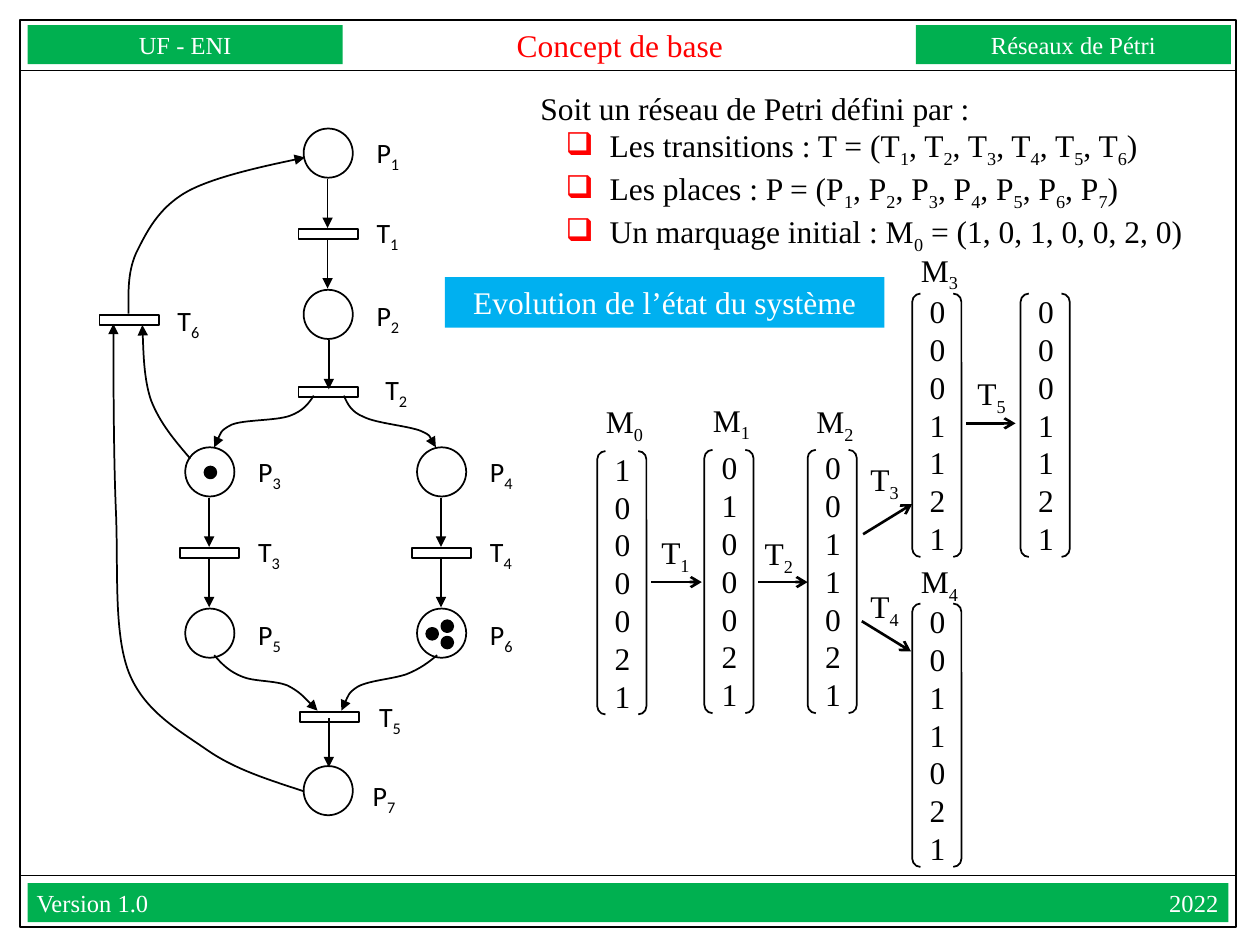
"""Build the slide showing a Petri net and the evolution of its marking."""
from dataclasses import dataclass

import pptx
import pptx.dml.color
import pptx.enum.shapes
import pptx.enum.text
import pptx.oxml.ns
import pptx.util
from lxml import etree

Inches = pptx.util.Inches
Pt = pptx.util.Pt
RGBColor = pptx.dml.color.RGBColor
SHAPE = pptx.enum.shapes.MSO_SHAPE
ALIGN = pptx.enum.text.PP_ALIGN
ANCHOR = pptx.enum.text.MSO_ANCHOR
qn = pptx.oxml.ns.qn

BLACK = RGBColor(0x00, 0x00, 0x00)
WHITE = RGBColor(0xFF, 0xFF, 0xFF)
RED = RGBColor(0xFF, 0x00, 0x00)
GREEN = RGBColor(0x00, 0xB0, 0x50)
BLUE = RGBColor(0x00, 0xB0, 0xF0)
SERIF, SANS = "Times New Roman", "Calibri"
PLACE_SIZE = 0.39
Point = tuple[float, float]


@dataclass(frozen=True)
class Branch:
    left: float
    top: float
    upper: str
    transition: str
    lower: str


@dataclass(frozen=True)
class Marking:
    left: float
    top: float
    counts: str
    title: str = ""
    title_top: float = 0


@dataclass(frozen=True)
class Firing:
    label: str
    label_at: Point
    start: Point
    end: Point


BRANCHES = [
    Branch(2.41, 1.02, "P~1", "T~1", "P~2"),
    Branch(3.31, 3.55, "P~4", "T~4", "P~6"),
    Branch(1.47, 3.55, "P~3", "T~3", "P~5"),
]
BARS = [(2.38, 5.65), (2.37, 3.07), (0.79, 2.5)]
TOKENS = [(1.63, 3.71), (3.39, 4.99), (3.51, 4.93), (3.51, 5.06)]
NET_LABELS = [("P~7", 2.86, 6.13), ("T~2", 2.96, 2.91), ("T~5", 2.91, 5.5), ("T~6", 1.31, 2.36)]
ARCS = [
    [(2.49, 3.14), (2.45, 3.2), (2.41, 3.26), (2.3, 3.3), (2.19, 3.34), (1.94, 3.33),
     (1.84, 3.37), (1.74, 3.42), (1.7, 3.55), (1.7, 3.55)],
    [(2.73, 3.14), (2.76, 3.21), (2.79, 3.27), (2.89, 3.31), (2.99, 3.36), (3.24, 3.38),
     (3.34, 3.42), (3.43, 3.46), (3.46, 3.55), (3.46, 3.55)],
    [(3.47, 5.2), (3.4, 5.26), (3.33, 5.31), (3.23, 5.35), (3.12, 5.39), (2.93, 5.4),
     (2.84, 5.45), (2.76, 5.5), (2.71, 5.64), (2.71, 5.64)],
    [(1.7, 5.2), (1.76, 5.27), (1.82, 5.33), (1.92, 5.37), (2.01, 5.41), (2.18, 5.4),
     (2.28, 5.44), (2.38, 5.49), (2.52, 5.64), (2.52, 5.64)],
    [(2.41, 6.28), (2.14, 6.19), (1.87, 6.11), (1.64, 5.95), (1.41, 5.79), (1.14, 5.64),
     (1.02, 5.33), (0.9, 5.01), (0.94, 4.51), (0.92, 4.05), (0.9, 3.59), (0.9, 2.57), (0.9, 2.57)],
    [(1.51, 3.64), (1.39, 3.5), (1.27, 3.36), (1.2, 3.18), (1.14, 3.01), (1.13, 2.58), (1.13, 2.58)],
    [(1.02, 2.49), (1.02, 2.33), (1.01, 2.17), (1.08, 2.01), (1.16, 1.85), (1.25, 1.66),
     (1.47, 1.53), (1.69, 1.4), (2.42, 1.25), (2.42, 1.25)],
]
MARKINGS = [
    Marking(4.74, 3.58, "1000021", "M~0", 3.14),
    Marking(5.59, 3.57, "0100021", "M~1", 3.13),
    Marking(6.41, 3.57, "0011021", "M~2", 3.14),
    Marking(7.24, 2.33, "0001121", "M~3", 1.94),
    Marking(7.24, 4.79, "0011021", "M~4", 4.41),
    Marking(8.1, 2.33, "0001121"),
]
FIRINGS = [
    Firing("T~1", (5.15, 4.18), (5.17, 4.62), (5.57, 4.62)),
    Firing("T~2", (5.97, 4.19), (6.02, 4.62), (6.41, 4.62)),
    Firing("T~3", (6.81, 3.6), (6.85, 4.24), (7.24, 4)),
    Firing("T~4", (6.81, 4.61), (6.84, 4.93), (7.23, 5.17)),
    Firing("T~5", (7.66, 2.92), (7.67, 3.36), (8.06, 3.36)),
]


def write(shape, lines, size, font=SERIF, color=BLACK, align=ALIGN.LEFT, anchor=ANCHOR.TOP, inset=None):
    frame = shape.text_frame
    frame.word_wrap = True
    frame.auto_size = pptx.enum.text.MSO_AUTO_SIZE.SHAPE_TO_FIT_TEXT
    frame.vertical_anchor = anchor
    if inset is not None:
        frame.margin_left = frame.margin_right = Inches(inset)
        frame.margin_top = frame.margin_bottom = 0
    for index, line in enumerate(lines):
        paragraph = frame.paragraphs[0] if index == 0 else frame.add_paragraph()
        paragraph.alignment = align
        for part, text in enumerate(line.split("~")):
            run = paragraph.add_run()
            run.text = text
            run.font.size, run.font.name, run.font.color.rgb = Pt(size), font, color
            if part % 2:
                run.font._element.set("baseline", "-25000")
    return frame


def add_text(slide, lines, left, top, width, height, size=18, **style):
    box = slide.shapes.add_textbox(Inches(left), Inches(top), Inches(width), Inches(height))
    return write(box, lines, size, **style)


def add_figure(slide, kind, left, top, width, height, fill=None, line=None):
    figure = slide.shapes.add_shape(kind, Inches(left), Inches(top), Inches(width), Inches(height))
    figure.shadow.inherit = False
    figure.fill.background()
    figure.line.fill.background()
    if fill is not None:
        figure.fill.solid()
        figure.fill.fore_color.rgb = fill
    if line is not None:
        set_line(figure, line)
    return figure


def set_line(figure, width: float, head: str = "") -> None:
    figure.line.color.rgb = BLACK
    figure.line.width = Pt(width)
    if head:
        etree.SubElement(figure.line._get_or_add_ln(), qn("a:tailEnd"), type=head)


def add_line(slide, start: Point, end: Point, width: float = 1, head: str = "") -> None:
    straight = pptx.enum.shapes.MSO_CONNECTOR.STRAIGHT
    line = slide.shapes.add_connector(straight, *map(Inches, start + end))
    set_line(line, width, head)
    etree.SubElement(line._element.spPr, qn("a:effectLst"))


def add_arc(slide, points: list[Point]) -> None:
    start, *rest = [(Inches(x), Inches(y)) for x, y in points]
    builder = slide.shapes.build_freeform(*start, scale=1.0)
    builder.add_line_segments(rest, close=False)
    arc = builder.convert_to_shape()
    arc.shadow.inherit = False
    arc.fill.background()
    set_line(arc, 1, "triangle")
    outline = arc._element.xpath(".//a:path")[0]
    segments = outline.findall(qn("a:lnTo"))
    for first in range(0, len(segments), 3):
        curve = etree.SubElement(outline, qn("a:cubicBezTo"))
        for segment in segments[first:first + 3]:
            curve.append(segment[0])
            outline.remove(segment)


def add_place(slide, left: float, top: float) -> None:
    add_figure(slide, SHAPE.OVAL, left, top, PLACE_SIZE, PLACE_SIZE, line=1)


def add_bar(slide, left: float, top: float) -> None:
    add_figure(slide, SHAPE.RECTANGLE, left, top, 0.47, 0.08, line=1)


def add_net_label(slide, text: str, left: float, top: float) -> None:
    add_text(slide, [text], left, top, 0.42, 0.37, 16, font=SANS)


def add_branch(slide, branch: Branch) -> None:
    left, top = branch.left, branch.top
    add_bar(slide, left - 0.04, top + 0.8)
    for offset in (0, 1.28):
        add_place(slide, left, top + offset)
    for offset in (0.4, 0.88):
        add_line(slide, (left + 0.19, top + offset), (left + 0.19, top + offset + 0.39), head="triangle")
    for text, offset in ((branch.upper, 0.01), (branch.transition, 0.64), (branch.lower, 1.3)):
        add_net_label(slide, text, left + 0.48, top + offset)


def add_marking(slide, marking: Marking) -> None:
    add_text(slide, marking.counts, marking.left + 0.04, marking.top - 0.06, 0.43, 2.22)
    add_figure(slide, SHAPE.DOUBLE_BRACKET, marking.left, marking.top, PLACE_SIZE, 2.09, line=1)
    if marking.title:
        add_text(slide, [marking.title], marking.left - 0.03, marking.title_top, 0.62, 0.4)


def add_frame(slide) -> None:
    add_figure(slide, SHAPE.RECTANGLE, 0.16, 0.16, 9.65, 7.2, line=1)
    for y in (0.56, 6.95):
        add_line(slide, (0.16, y), (9.8, y), 0.75)
    for text, left in (("UF - ENI", 0.22), ("Réseaux de Pétri", 7.27)):
        banner = add_figure(slide, SHAPE.RECTANGLE, left, 0.2, 2.5, 0.31, GREEN)
        write(banner, [text], 14, color=WHITE, align=ALIGN.CENTER, anchor=ANCHOR.MIDDLE, inset=0)
    footer = add_figure(slide, SHAPE.RECTANGLE, 0.22, 7.01, 9.53, 0.31, GREEN)
    frame = write(footer, ["Version 1.0\t2022"], 14, color=WHITE, anchor=ANCHOR.MIDDLE, inset=0.07)
    stops = etree.SubElement(frame.paragraphs[0]._p.get_or_add_pPr(), qn("a:tabLst"))
    etree.SubElement(stops, qn("a:tab"), pos=str(Inches(9.38)), algn="r")
    add_text(slide, ["Concept de base"], 3.67, 0.2, 2.5, 0.31, color=RED,
             align=ALIGN.CENTER, anchor=ANCHOR.MIDDLE, inset=0)


def add_definition(slide) -> None:
    transitions = ", ".join(f"T~{number}~" for number in range(1, 7))
    places = ", ".join(f"P~{number}~" for number in range(1, 8))
    lines = ["Soit un réseau de Petri défini par :", f"Les transitions : T = ({transitions})",
             f"Les places : P = ({places})", "Un marquage initial : M~0~ = (1, 0, 1, 0, 0, 2, 0)"]
    frame = add_text(slide, lines, 4.19, 0.71, 5.4, 1.31, anchor=ANCHOR.MIDDLE)
    for item in frame.paragraphs[1:]:
        properties = item._p.get_or_add_pPr()
        properties.set("marL", str(Inches(0.55)))
        properties.set("indent", str(Inches(-0.35)))
        tint = etree.SubElement(properties, qn("a:buClr"))
        etree.SubElement(tint, qn("a:srgbClr"), val=str(RED))
        etree.SubElement(properties, qn("a:buChar"), char="❑")


def main() -> None:
    deck = pptx.Presentation()
    deck.slide_width, deck.slide_height = Inches(10), Inches(7.5)
    slide = deck.slides.add_slide(deck.slide_layouts[6])
    add_frame(slide)
    for branch in BRANCHES:
        add_branch(slide, branch)
    add_place(slide, 2.41, 6.08)
    for left, top in BARS:
        add_bar(slide, left, top)
    for top in (2.7, 5.7):
        add_line(slide, (2.61, top), (2.61, top + 0.39), head="triangle")
    for points in ARCS:
        add_arc(slide, points)
    for left, top in TOKENS:
        add_figure(slide, SHAPE.OVAL, left, top, 0.08, 0.08, BLACK, 2)
    for text, left, top in NET_LABELS:
        add_net_label(slide, text, left, top)
    add_definition(slide)
    for marking in MARKINGS:
        add_marking(slide, marking)
    for firing in FIRINGS:
        add_line(slide, firing.start, firing.end, 1.5, "arrow")
        add_text(slide, [firing.label], *firing.label_at, 0.46, 0.4)
    heading = add_figure(slide, SHAPE.RECTANGLE, 3.53, 2.2, 3.49, 0.4, BLUE)
    write(heading, ["Evolution de l’état du système"], 18, color=WHITE, align=ALIGN.CENTER)
    deck.save("out.pptx")


if __name__ == "__main__":
    main()
